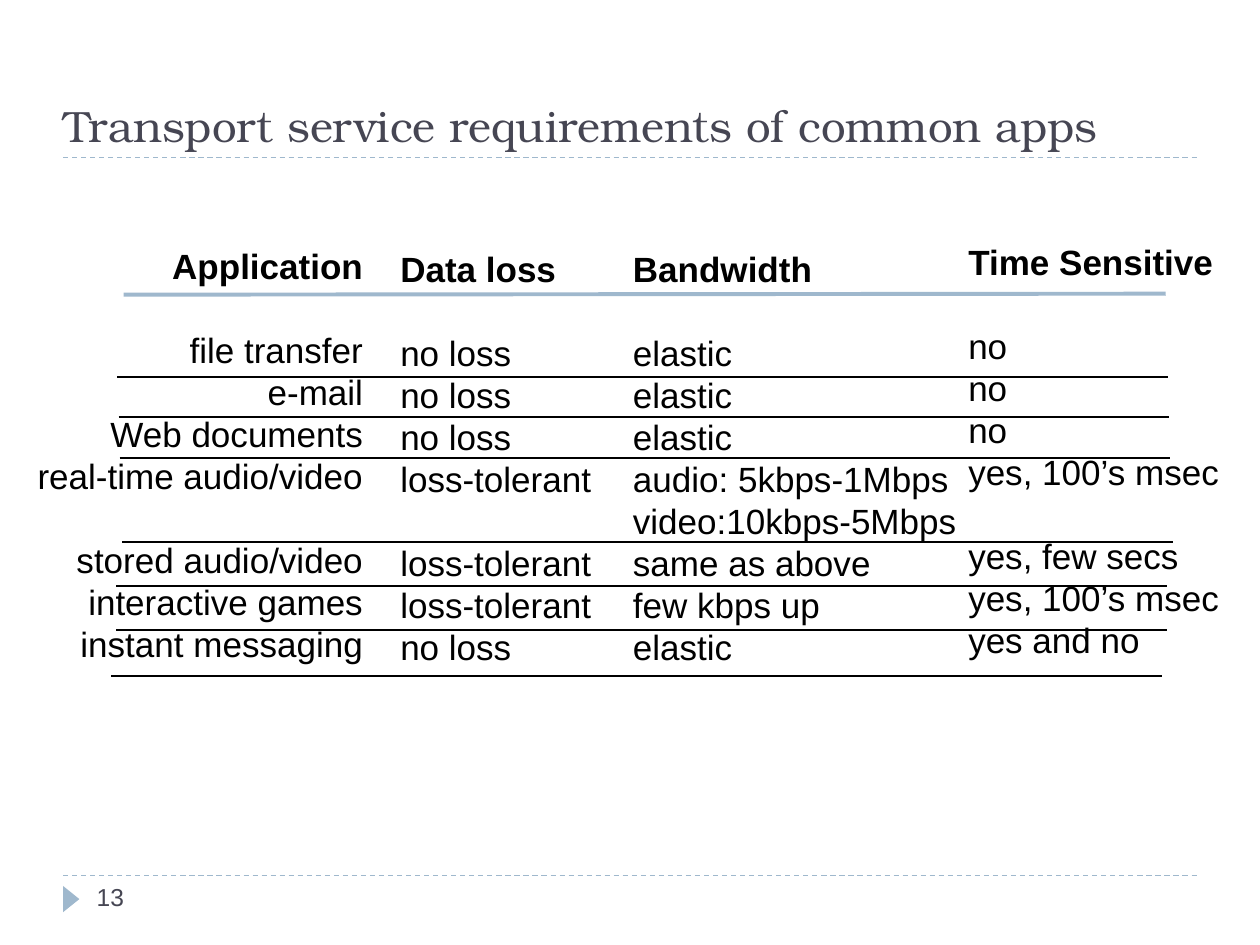
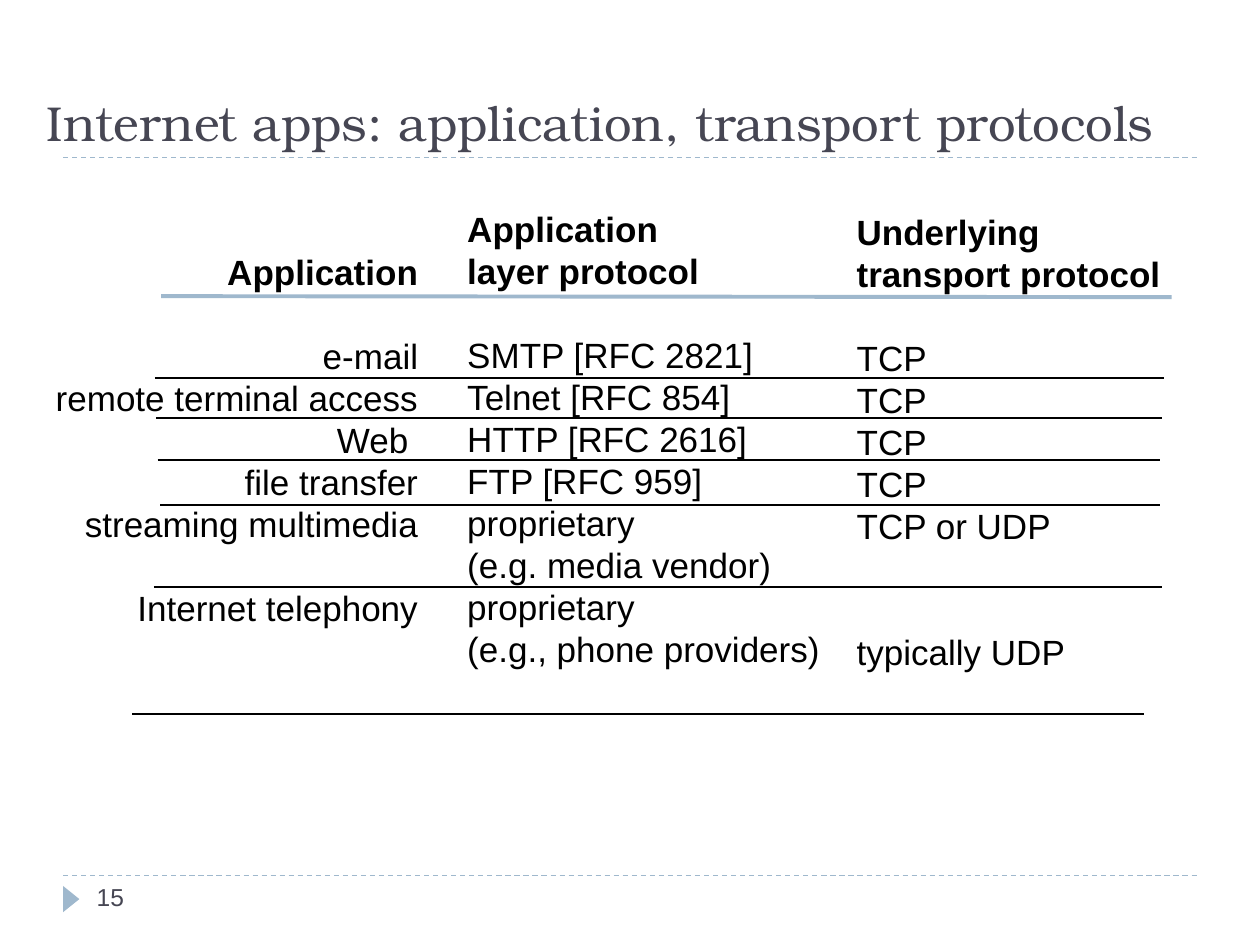
from lxml.etree import SubElement
from pptx import Presentation
from pptx.dml.color import RGBColor
from pptx.enum.dml import MSO_LINE
from pptx.enum.shapes import MSO_CONNECTOR, MSO_SHAPE
from pptx.enum.text import MSO_ANCHOR, PP_ALIGN
from pptx.oxml.ns import qn
from pptx.util import Cm, Pt

COLORS = {"accent": "9FB8CD", "heading": "464653", "text": "000000"}
TITLE_FONT, BODY_FONT = "TeX Gyre Bonum", "Arial"
BODY_SIZE, ROW_PITCH = 20, 24
MARGIN_LEFT, MARGIN_RIGHT = 1.27, 24.13
TITLE_LINE, FOOTER_LINE = 3.18, 17.65


def color(name):
    return RGBColor.from_string(COLORS[name])


class Deck:
    def __init__(self):
        self.presentation = Presentation()
        self.presentation.slide_width = Cm(25.4)
        self.presentation.slide_height = Cm(19.05)
        self.slide = None

    def add_slide(self, title, title_left, title_size, number):
        layout = self.presentation.slide_layouts[6]
        self.slide = self.presentation.slides.add_slide(layout)
        for y in (FOOTER_LINE, TITLE_LINE):
            self.line((MARGIN_LEFT, y), (MARGIN_RIGHT, y), "accent", 0.75, dashed=True)
        self.page_marker()
        title_frame = self.text_box(title_left, TITLE_LINE - 2.54, 24.3, 2.54)
        title_frame.vertical_anchor = MSO_ANCHOR.BOTTOM
        self.run(title_frame.paragraphs[0], title, title_size, "heading", TITLE_FONT)
        number_frame = self.text_box(1.7, FOOTER_LINE, 5.51, 1.02)
        self.run(number_frame.paragraphs[0], str(number), 14, "heading")

    def page_marker(self):
        shape = self.slide.shapes.add_shape(
            MSO_SHAPE.ISOSCELES_TRIANGLE, Cm(1.17), Cm(17.96), Cm(0.53), Cm(0.33))
        shape.rotation = 90
        shape.shadow.inherit = False
        shape.fill.solid()
        shape.fill.fore_color.rgb = color("accent")
        shape.line.fill.background()

    def line(self, start, end, color_name="text", width=1, dashed=False):
        connector = self.slide.shapes.add_connector(
            MSO_CONNECTOR.STRAIGHT, *(Cm(value) for value in (*start, *end)))
        connector.line.color.rgb = color(color_name)
        connector.line.width = Pt(width)
        if dashed:
            connector.line.dash_style = MSO_LINE.DASH
        SubElement(connector.element.spPr, qn("a:effectLst"))

    def text_box(self, left, top, width, height):
        shape = self.slide.shapes.add_textbox(Cm(left), Cm(top), Cm(width), Cm(height))
        shape.text_frame.word_wrap = True
        return shape.text_frame

    def run(self, paragraph, text, size, color_name, font=BODY_FONT, bold=False):
        run = paragraph.add_run()
        run.text = text
        run.font.name = font
        run.font.size = Pt(size)
        run.font.bold = bold
        run.font.color.rgb = color(color_name)

    def column(self, left, top, width, header, entries, align=PP_ALIGN.LEFT):
        """Bold header lines, one free row, then entries; None leaves a row free."""
        frame = self.text_box(left, top, width, 8.74)
        free_rows = 0
        for index, text in enumerate([*header, None, *entries]):
            if text is None:
                free_rows += 1
                continue
            paragraph = frame.add_paragraph() if index else frame.paragraphs[0]
            paragraph.alignment = align
            paragraph.line_spacing = Pt(ROW_PITCH)
            paragraph.space_before = Pt(ROW_PITCH * free_rows)
            self.run(paragraph, text, BODY_SIZE, "text", bold=index < len(header))
            free_rows = 0

    def header_rule(self, start, end):
        self.line(start, end, "accent", 2.25)

    def row_rules(self, rules):
        for left, right, y in rules:
            self.line((left, y), (right, y))


def requirements_slide(deck):
    deck.add_slide("Transport service requirements of common apps", 1.04, 25, 13)
    deck.column(0.25, 4.8, 7.32, ["Application"],
                ["file transfer", "e-mail", "Web documents", "real-time audio/video", None,
                 "stored audio/video", "interactive games", "instant messaging"],
                PP_ALIGN.RIGHT)
    deck.column(7.82, 4.87, 4.6, ["Data loss"],
                ["no loss"] * 3 + ["loss-tolerant", None, "loss-tolerant",
                                   "loss-tolerant", "no loss"])
    deck.column(12.51, 4.86, 7.16, ["Bandwidth"],
                ["elastic"] * 3 + ["audio: 5kbps-1Mbps", "video:10kbps-5Mbps",
                                   "same as above", "few kbps up", "elastic"])
    deck.column(19.27, 4.72, 5.74, ["Time Sensitive"],
                ["no"] * 3 + ["yes, 100’s msec", None, "yes, few secs",
                              "yes, 100’s msec", "yes and no"])
    deck.header_rule((2.49, 5.94), (23.5, 5.92))
    rule_width = 21.18
    rule_starts = [(2.36, 7.6), (2.39, 8.41), (2.41, 9.24), (2.46, 10.92),
                   (2.34, 11.81), (2.34, 12.7), (2.24, 13.62)]
    deck.row_rules((left, left + rule_width, y) for left, y in rule_starts)


def protocols_slide(deck):
    deck.add_slide("Internet apps: application, transport protocols", 0.69, 28, 15)
    deck.column(0.5, 4.93, 8.18, ["Application"],
                ["e-mail", "remote terminal access", "Web ", "file transfer",
                 "streaming multimedia", None, "Internet telephony"],
                PP_ALIGN.RIGHT)
    deck.column(9.17, 4.06, 7.9, ["Application", "layer protocol"],
                ["SMTP [RFC 2821]", "Telnet [RFC 854]", "HTTP [RFC 2616]", "FTP [RFC 959]",
                 "proprietary", "(e.g. media vendor)",
                 "proprietary", "(e.g., phone providers)"])
    deck.column(17.02, 4.11, 7.29, ["Underlying", "transport protocol"],
                ["TCP"] * 4 + ["TCP or UDP", None, None, "typically UDP"])
    deck.header_rule((3.25, 5.97), (23.62, 5.99))
    deck.row_rules([(3.12, 23.47, 7.62), (3.15, 23.42, 8.43), (3.18, 23.39, 9.27),
                    (3.23, 23.39, 10.18), (3.1, 23.42, 11.84), (2.67, 23.06, 14.4)])


def main():
    deck = Deck()
    requirements_slide(deck)
    protocols_slide(deck)
    deck.presentation.save("out.pptx")


if __name__ == "__main__":
    main()
